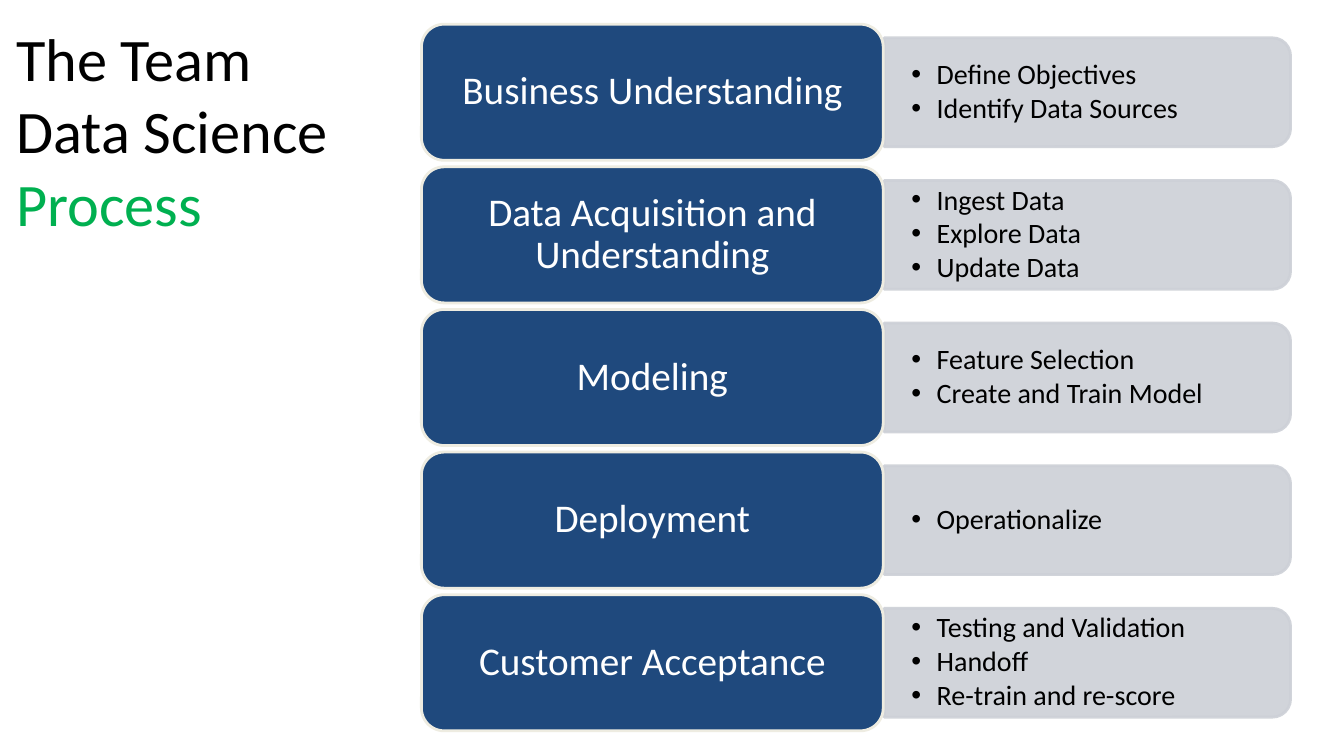
from lxml.etree import SubElement
from pptx import Presentation
from pptx.dml.color import RGBColor
from pptx.enum.shapes import MSO_SHAPE
from pptx.enum.text import MSO_ANCHOR, PP_ALIGN
from pptx.oxml.ns import qn
from pptx.util import Inches, Pt

FONT = "Calibri"
NAVY, CREAM, GREY = "1F497D", "EEECE1", "CDD0D7"
BLACK, WHITE, GREEN = "000000", "FFFFFF", "00B050"

STAGES = [
    ("Business Understanding", ["Define Objectives", "Identify Data Sources"]),
    ("Data Acquisition and Understanding",
     ["Ingest Data", "Explore Data", "Update Data"]),
    ("Modeling", ["Feature Selection", "Create and Train Model"]),
    ("Deployment", ["Operationalize"]),
    ("Customer Acceptance",
     ["Testing and Validation", "Handoff", "Re-train and re-score"]),
]
FIRST_TOP, LAST_TOP = 0.24, 5.9
PITCH = (LAST_TOP - FIRST_TOP) / (len(STAGES) - 1)
LABEL_LEFT, LABEL_W, LABEL_H = 4.18, 4.58, 1.35
PANEL_LEFT, PANEL_W, PANEL_H = 8.77, 4.03, 1.08
BULLETS_W, BULLETS_H = 3.97, 0.97


def rgb(color):
    return RGBColor.from_string(color)


def add_run(p, text, size, color):
    r = p.add_run()
    r.text = text
    r.font.name = FONT
    r.font.size = Pt(size)
    r.font.color.rgb = rgb(color)


def set_frame(tf, inset_x, inset_y, anchor):
    tf.word_wrap = True
    tf.margin_left = tf.margin_right = Inches(inset_x)
    tf.margin_top = tf.margin_bottom = Inches(inset_y)
    tf.vertical_anchor = anchor


def add_textbox(s, left, top, width, height, inset_x, inset_y, anchor):
    box = s.shapes.add_textbox(Inches(left), Inches(top),
                               Inches(width), Inches(height))
    set_frame(box.text_frame, inset_x, inset_y, anchor)
    return box.text_frame


def add_block(s, kind, left, top, width, height, fill, line):
    sp = s.shapes.add_shape(kind, Inches(left), Inches(top),
                            Inches(width), Inches(height))
    sp.shadow.inherit = False
    sp.fill.solid()
    sp.fill.fore_color.rgb = rgb(fill)
    sp.line.color.rgb = rgb(line)
    sp.line.width = Pt(2)
    return sp


def add_bullet(p):
    pPr = p._p.get_or_add_pPr()
    pPr.set("marL", str(Inches(0.25)))
    pPr.set("indent", str(-Inches(0.25)))
    SubElement(pPr, qn("a:buFont"), typeface="Arial")
    SubElement(pPr, qn("a:buChar"), char="•")


def add_title(s):
    tf = add_textbox(s, 0, 0.11, 3.79, 2.22, 0.16, 0.1, MSO_ANCHOR.TOP)
    p = tf.paragraphs[0]
    add_run(p, "The Team Data Science ", 43.1, BLACK)
    add_run(p, "Process", 43.1, GREEN)


def add_panel(s, middle):
    # Turned a quarter so that the rounded corners face right
    sp = add_block(s, MSO_SHAPE.ROUND_2_SAME_RECTANGLE,
                   PANEL_LEFT + (PANEL_W - PANEL_H) / 2, middle - PANEL_W / 2,
                   PANEL_H, PANEL_W, GREY, GREY)
    sp.rotation = 90
    for color in sp._element.spPr.iter(qn("a:srgbClr")):
        SubElement(color, qn("a:alpha"), val="90000")


def add_bullets(s, middle, items):
    tf = add_textbox(s, PANEL_LEFT, middle - BULLETS_H / 2,
                     BULLETS_W, BULLETS_H, 0.27, 0.14, MSO_ANCHOR.MIDDLE)
    for i, item in enumerate(items):
        p = tf.add_paragraph() if i else tf.paragraphs[0]
        add_bullet(p)
        p.level = 1
        p.line_spacing = 0.9
        p.space_before = Pt(0)
        p.space_after = Pt(2.6)
        add_run(p, item, 20, BLACK)


def add_label(s, top, name):
    sp = add_block(s, MSO_SHAPE.ROUNDED_RECTANGLE, LABEL_LEFT, top,
                   LABEL_W, LABEL_H, NAVY, CREAM)
    set_frame(sp.text_frame, 0.12, 0.06, MSO_ANCHOR.MIDDLE)
    p = sp.text_frame.paragraphs[0]
    p.alignment = PP_ALIGN.CENTER
    p.line_spacing = 0.9
    add_run(p, name, 28, WHITE)


def main():
    prs = Presentation()
    prs.slide_width, prs.slide_height = Inches(13.33), Inches(7.5)
    s = prs.slides.add_slide(prs.slide_layouts[6])

    add_title(s)

    # One row for each stage of the process
    for i, (name, items) in enumerate(STAGES):
        top = FIRST_TOP + i * PITCH
        middle = top + LABEL_H / 2
        add_panel(s, middle)
        add_bullets(s, middle, items)
        add_label(s, top, name)

    prs.save("out.pptx")


if __name__ == "__main__":
    main()
